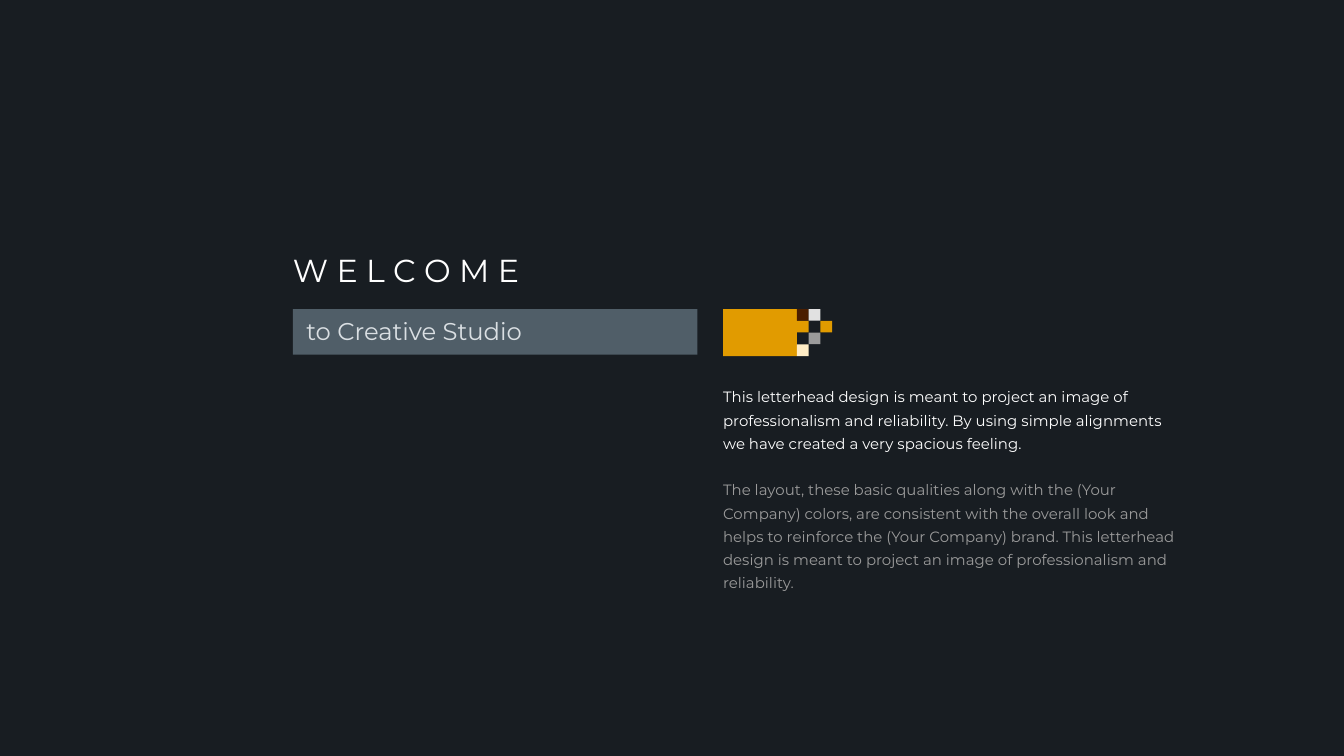
from dataclasses import dataclass

from pptx import Presentation
from pptx.dml.color import RGBColor
from pptx.enum.shapes import MSO_SHAPE as Shape
from pptx.enum.text import MSO_ANCHOR as Anchor
from pptx.util import Inches, Pt


@dataclass(frozen=True)
class Theme:
    """Colours, font and type sizes of the deck."""
    font: str = "Montserrat"
    background: str = "181D22"
    band: str = "505E68"
    white: str = "FFFFFF"
    pale: str = "DADFE3"
    grey: str = "9B9B9B"
    silver: str = "E1E1E1"
    amber: str = "E19B00"
    brown: str = "4B1E00"
    cream: str = "FFEDC6"
    title: float = 17
    subtitle: float = 13
    body: float = 8
    body_spacing: float = 1.3
    body_gap: float = 12.4


THEME = Theme()

INTRO = (
    "This letterhead design is meant to project an image of professionalism "
    "and reliability. By using simple alignments we have created a very "
    "spacious feeling."
)
DETAIL = (
    "The layout, these basic qualities along with the (Your Company) colors, "
    "are consistent with the overall look and helps to reinforce the (Your "
    "Company) brand. This letterhead design is meant to project an image of "
    "professionalism and reliability."
)


def add_block(shapes, left, top, width, height, color):
    """Add a plain filled rectangle."""
    block = shapes.add_shape(
        Shape.RECTANGLE, Inches(left), Inches(top), Inches(width), Inches(height)
    )
    block.shadow.inherit = False
    block.fill.solid()
    block.fill.fore_color.rgb = RGBColor.from_string(color)
    block.line.fill.background()
    return block


def add_text(page, left, top, width, height, lines, size, spacing=None, gap=0):
    """Add a text box with one paragraph for each (text, colour) pair."""
    box = page.shapes.add_textbox(
        Inches(left), Inches(top), Inches(width), Inches(height)
    )
    frame = box.text_frame
    frame.word_wrap = True
    frame.vertical_anchor = Anchor.MIDDLE
    frame.margin_left = frame.margin_right = 0
    frame.margin_top = frame.margin_bottom = 0
    for index, (text, color) in enumerate(lines):
        para = frame.add_paragraph() if index else frame.paragraphs[0]
        para.text = text
        para.font.name = THEME.font
        para.font.size = Pt(size)
        para.font.color.rgb = RGBColor.from_string(color)
        para.line_spacing = spacing
        para.space_before = Pt(gap if index else 0)
    return box


def add_heading(page, left, top, width):
    """Place the title above its banded subtitle."""
    add_block(page.shapes, left, top + 0.46, width, 0.34, THEME.band)
    add_text(page, left, top, 2.73, 0.33,
             [("W E L C O M E", THEME.white)], THEME.title)
    add_text(page, left + 0.1, top + 0.49, 1.94, 0.27,
             [("to Creative Studio", THEME.pale)], THEME.subtitle)


def add_pixel_mark(page, left, top, height):
    """Place a solid block that breaks up into square pixels on its right."""
    group = page.shapes.add_group_shape()
    body_width = 0.55
    side = height / 4
    pixels = [
        (0, 0, THEME.brown),
        (0, 1, THEME.silver),
        (1, 0, THEME.amber),
        (2, 1, THEME.grey),
        (3, 0, THEME.cream),
        (1, 2, THEME.amber),
    ]
    add_block(group.shapes, left, top, body_width, height, THEME.amber)
    for row, column, color in pixels:
        add_block(group.shapes, left + body_width + column * side,
                  top + row * side, side, side, color)


def add_body(page, left, top, width, height):
    """Place the introduction and the dimmer detail paragraph."""
    add_text(page, left, top, width, height,
             [(INTRO, THEME.white), (DETAIL, THEME.grey)],
             THEME.body, THEME.body_spacing, THEME.body_gap)


def build_welcome(deck):
    """Add the welcome slide to the deck."""
    page = deck.slides.add_slide(deck.slide_layouts[6])
    page.background.fill.solid()
    page.background.fill.fore_color.rgb = RGBColor.from_string(THEME.background)
    add_heading(page, 2.18, 1.84, 3.01)
    add_body(page, 5.38, 2.97, 3.41, 1.31)
    add_pixel_mark(page, 5.38, 2.3, 0.35)


def main():
    """Build and save a 16:9 deck."""
    deck = Presentation()
    deck.slide_width = Inches(10)
    deck.slide_height = deck.slide_width * 9 // 16
    build_welcome(deck)
    deck.save("out.pptx")


if __name__ == "__main__":
    main()
